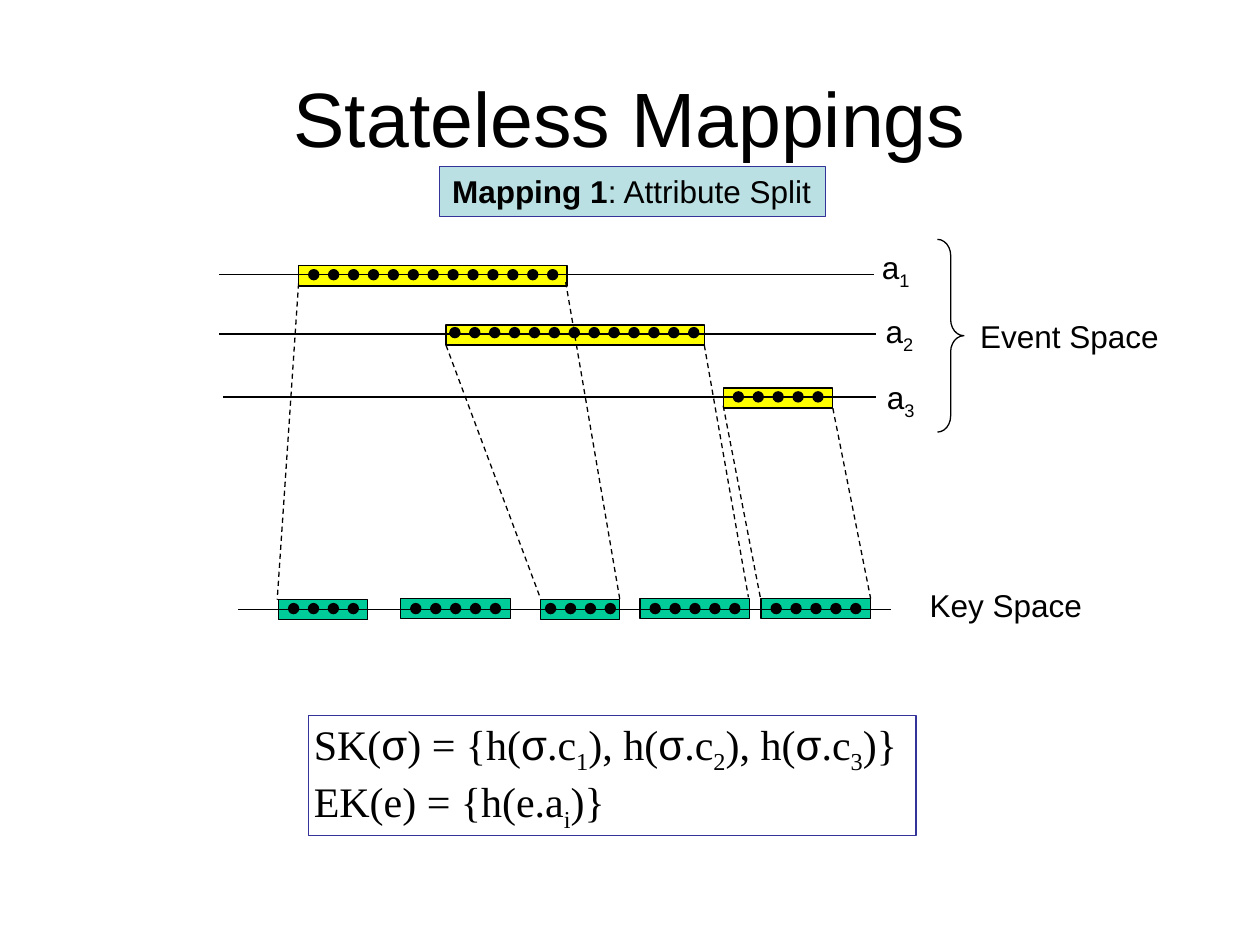
from lxml import etree
from pptx import Presentation
from pptx.dml.color import RGBColor
from pptx.enum.dml import MSO_LINE
from pptx.enum.shapes import MSO_CONNECTOR, MSO_SHAPE
from pptx.enum.text import MSO_ANCHOR, PP_ALIGN
from pptx.oxml.ns import qn
from pptx.util import Inches, Pt

BLACK = RGBColor(0x00, 0x00, 0x00)
YELLOW = RGBColor(0xFF, 0xFF, 0x00)
GREEN = RGBColor(0x00, 0xCC, 0x99)
PALE = RGBColor(0xBB, 0xE0, 0xE3)
NAVY = RGBColor(0x33, 0x33, 0x99)
RECT, OVAL, BRACE = MSO_SHAPE.RECTANGLE, MSO_SHAPE.OVAL, MSO_SHAPE.RIGHT_BRACE
LINE, DASH = MSO_CONNECTOR.STRAIGHT, MSO_LINE.DASH
TOP, MIDDLE = MSO_ANCHOR.TOP, MSO_ANCHOR.MIDDLE
LEFT, CENTER = PP_ALIGN.LEFT, PP_ALIGN.CENTER
SANS, SERIF = "Arial", "Times New Roman"

WIDTH, HEIGHT = Inches(10), Inches(7.5)
COLS, ROWS = 100, 75
DOT, PITCH, THICK = 0.8, 1.58, 1.6


def grid(x, y):
    """Turn columns and rows into slide lengths."""
    return round(x * WIDTH / COLS), round(y * HEIGHT / ROWS)


def inner(box, x, y, w, h):
    """Give a box placed relative to the corner of another."""
    return box[0] + x, box[1] + y, w, h


def draw(slide, kind, box, fill=None, edge=BLACK):
    """Add a preset shape with a thin outline."""
    shape = slide.shapes.add_shape(kind, *grid(*box[:2]), *grid(*box[2:]))
    shape.shadow.inherit = False
    if fill is None:
        shape.fill.background()
    else:
        shape.fill.solid()
        shape.fill.fore_color.rgb = fill
    shape.line.color.rgb = edge
    shape.line.width = Pt(0.75)
    return shape


def link(slide, box, start, end, dash=None):
    """Add a thin straight line between two points of a box."""
    ends = [grid(box[0] + x, box[1] + y) for x, y in (start, end)]
    line = slide.shapes.add_connector(LINE, *ends[0], *ends[1])
    line.line.color.rgb = BLACK
    line.line.width = Pt(0.75)
    if dash is not None:
        line.line.dash_style = dash
    etree.SubElement(line._element.spPr, qn("a:effectLst"))


def write(shape, lines, size=18, pad=(0.1, 0.05), anchor=TOP, align=LEFT, wrap=False):
    """Fill a shape with lines of (text, font, style) runs."""
    frame = shape.text_frame
    frame.word_wrap = wrap
    frame.vertical_anchor = anchor
    frame.margin_left = frame.margin_right = Inches(pad[0])
    frame.margin_top = frame.margin_bottom = Inches(pad[1])
    for index, runs in enumerate(lines):
        para = frame.add_paragraph() if index else frame.paragraphs[0]
        para.alignment = align
        for text, face, style in runs:
            run = para.add_run()
            run.text = text
            run.font.name = face
            run.font.size = Pt(size)
            run.font.color.rgb = BLACK
            run.font.bold = style == "bold"
            if style == "sub":
                run._r.get_or_add_rPr().set("baseline", "-25000")


def label(slide, box, runs, **look):
    """Add a text box holding one line."""
    shape = slide.shapes.add_textbox(*grid(*box[:2]), *grid(*box[2:]))
    write(shape, [runs], **look)


def dots(slide, box, x, y, count):
    """Add a row of evenly spaced dots."""
    for index in range(count):
        draw(slide, OVAL, inner(box, x + index * PITCH, y, DOT, DOT), BLACK)


def title(slide, box):
    """Place the heading."""
    label(slide, box, [("Stateless Mappings", SANS, "")], size=44,
          anchor=MIDDLE, align=CENTER, wrap=True)


def tag(slide, box):
    """Place the name of the mapping."""
    write(draw(slide, RECT, box, PALE, NAVY),
          [[("Mapping 1", SANS, "bold"), (": Attribute Split", SANS, "")]])


def events(slide, box):
    """Place the attribute lines, their brace and its label."""
    rows = [
        (0, 52, 2.8, 6.3, 2.1, 21.3, 7.1, 2.4, 13, 51.6, 0.2),
        (0, 52.1, 7.5, 18, 6.8, 20.5, 18.3, 7, 13, 51.9, 5.3),
        (0.3, 52.1, 12.5, 40, 11.8, 8.7, 40.8, 12.1, 5, 52, 10.5),
    ]
    for number, row in enumerate(rows, 1):
        start, end, level, left, top, span, first, high, count, lx, ly = row
        draw(slide, RECT, inner(box, left, top, span, THICK), YELLOW)
        link(slide, box, (start, level), (end, level))
        dots(slide, box, first, high, count)
        label(slide, inner(box, lx, ly, 4.2, 4.4),
              [("a", SANS, ""), (str(number), SANS, "sub")])
    brace = draw(slide, BRACE, inner(box, 57, 0, 2.1, 15.3))
    brace.adjustments[0] = 0.61
    label(slide, inner(box, 59.4, 5.7, 16.2, 4), [("Event Space", SANS, "")])


def keys(slide, box):
    """Place the key line with its bars and label."""
    bars = [
        (3.2, 1.6, 7.1, 4, 4),
        (12.9, 1.5, 8.7, 13.7, 5),
        (24, 1.6, 6.3, 24.4, 4),
        (31.9, 1.5, 8.7, 32.7, 5),
        (41.5, 1.5, 8.7, 42.3, 5),
    ]
    for left, top, span, first, count in bars:
        draw(slide, RECT, inner(box, left, top, span, THICK), GREEN)
        dots(slide, box, first, 1.9, count)
    link(slide, box, (0, 2.4), (51.8, 2.4))
    label(slide, inner(box, 53.9, 0, 14.1, 4), [("Key Space", SANS, "")])


def rays(slide, box):
    """Join the ends of the event bars to the key bars."""
    pairs = [
        ((1.7, 0.1), (0, 25.2)), ((22.9, 0), (27.2, 25.2)),
        ((13.4, 5), (20.9, 25.1)), ((33.9, 5), (37.4, 25)),
        ((35.4, 9.8), (38.4, 25.3)), ((44.1, 10), (47.1, 25.1)),
    ]
    for start, end in pairs:
        link(slide, box, start, end, DASH)


def rules(slide, box):
    """Place the two mapping rules."""
    first = [("SK(", SERIF, ""), ("σ", SANS, ""), (") = {h(", SERIF, "")]
    for number, tail in (("1", "), h("), ("2", "), h("), ("3", ")}")):
        first += [("σ", SANS, ""), (".c", SERIF, ""),
                  (number, SERIF, "sub"), (tail, SERIF, "")]
    second = [("EK(e) = {h(e.a", SERIF, ""), ("i", SERIF, "sub"), (")}", SERIF, "")]
    write(draw(slide, RECT, box, edge=NAVY), [first, second],
          size=24, pad=(0.04, 0.02), wrap=True)


def main():
    """Build and save the slide."""
    deck = Presentation()
    deck.slide_width, deck.slide_height = WIDTH, HEIGHT
    slide = deck.slides.add_slide(deck.slide_layouts[6])
    title(slide, (5, 3, 90, 12.5))
    events(slide, (17.4, 19, 75.6, 15.3))
    keys(slide, (18.9, 46, 68, 4))
    rays(slide, (22, 22.4, 47.1, 25.3))
    tag(slide, (34.9, 13.2, 30.6, 4))
    rules(slide, (24.5, 56.8, 48.2, 9.5))
    deck.save("out.pptx")


if __name__ == "__main__":
    main()
